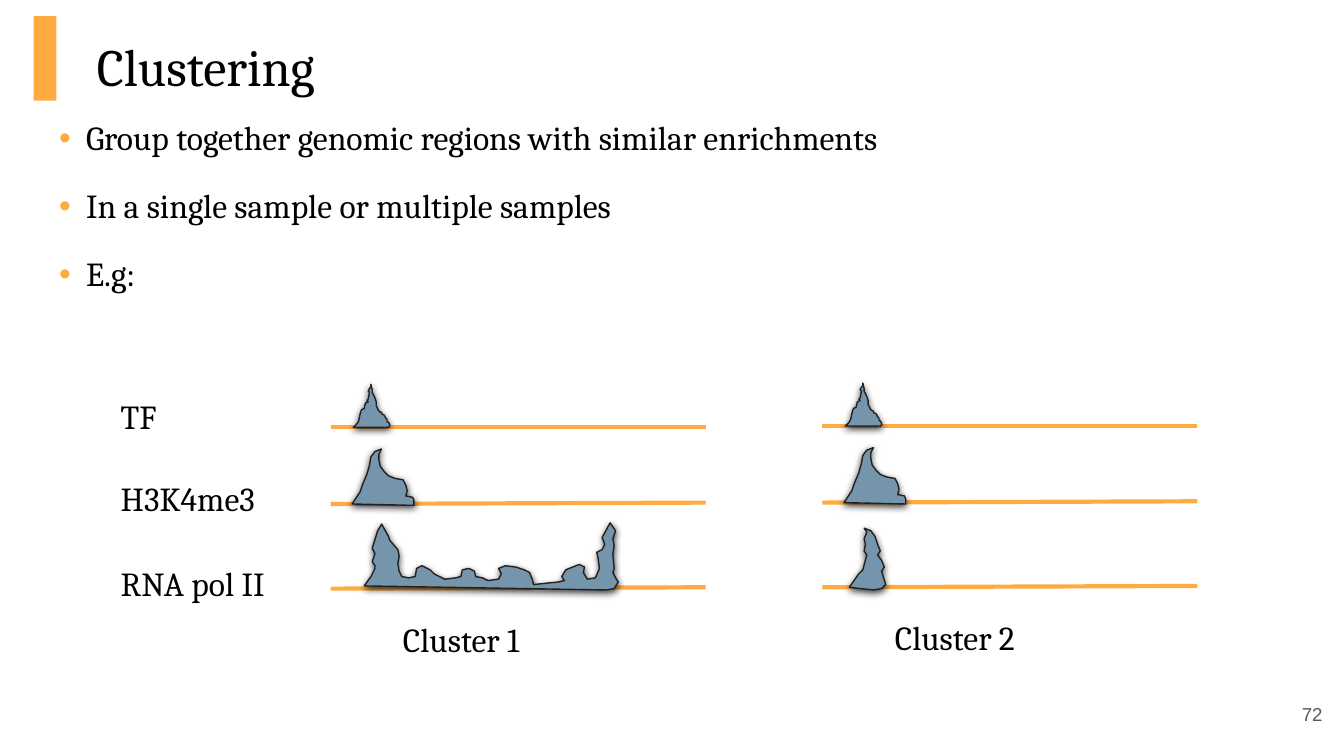
"""Build the slide on clustering genomic regions by enrichment."""
import lxml.etree
import pptx
import pptx.dml.color
import pptx.enum.shapes
import pptx.enum.text
import pptx.oxml
import pptx.oxml.ns
import pptx.util

Inches = pptx.util.Inches
Pt = pptx.util.Pt
ALIGN = pptx.enum.text.PP_ALIGN
ANCHOR = pptx.enum.text.MSO_ANCHOR
qn = pptx.oxml.ns.qn

ORANGE, BLUE, DARK, BLACK, GRAY = "FFAB40", "7595AC", "212121", "000000", "595959"
TRACK_LENGTH = 2.79
UNIT = Inches(0.01)

TF_PEAK = [
    (17, 0), (19, -2), (20, -3), (21, -5), (22, -10), (23, -13), (25, -14), (26, -18),
    (28, -19), (27, -20), (28, -21), (29, -26), (28, -27), (29, -29), (30, -30), (30, -32),
    (31, -28), (31, -26), (32, -24), (33, -22), (34, -19), (34, -16), (35, -14), (36, -12),
    (38, -11), (38, -10), (40, -9), (41, -7), (42, -6), (42, -4), (43, -4), (44, -2),
    (44, -1), (43, 0)]
H3K4ME3_PEAK = [
    (16, 0), (20, -6), (22, -9), (24, -15), (27, -22), (29, -29), (30, -35), (33, -39),
    (38, -41), (36, -37), (36, -33), (37, -28), (40, -24), (43, -21), (48, -19), (54, -18),
    (56, -14), (57, -10), (56, -6), (61, -5), (62, -3), (62, 1)]
POL_WIDE_PEAK = [
    (25, -2), (30, -9), (33, -15), (33, -17), (31, -20), (33, -26), (31, -30), (35, -43),
    (38, -48), (43, -39), (44, -36), (50, -29), (51, -24), (50, -19), (51, -13), (53, -9),
    (58, -8), (63, -9), (64, -15), (68, -17), (74, -14), (77, -11), (85, -7), (93, -8),
    (97, -9), (98, -14), (103, -15), (107, -13), (108, -9), (113, -8), (117, -6), (125, -7),
    (127, -11), (125, -15), (130, -17), (138, -16), (144, -14), (148, -12), (150, -7),
    (151, -3), (170, -5), (174, -6), (172, -9), (175, -14), (185, -18), (189, -16),
    (188, -12), (191, -7), (197, -8), (200, -15), (199, -23), (198, -27), (202, -29),
    (204, -33), (202, -38), (208, -49), (212, -43), (210, -37), (211, -32), (210, -26),
    (211, -15), (210, -12), (212, -8), (214, -5), (211, 0), (205, 1)]
POL_NARROW_PEAK = [
    (20, 0), (27, -10), (30, -13), (33, -24), (31, -27), (32, -32), (31, -36), (33, -41),
    (31, -44), (36, -42), (39, -38), (41, -32), (43, -27), (41, -24), (44, -20), (46, -15),
    (44, -12), (47, -2), (44, 1), (38, 2), (28, 1)]


def color(code):
    """Turn a hex string into a colour."""
    return pptx.dml.color.RGBColor.from_string(code)


def write(para, text, size=18, font="Cambria", ink=BLACK, align=ALIGN.LEFT, spacing=None):
    """Put formatted text into a paragraph."""
    para.alignment = align
    para.line_spacing = spacing
    para.space_before = Pt(0)
    span = para.add_run()
    span.text = text
    span.font.size = Pt(size)
    span.font.name = font
    span.font.color.rgb = color(ink)


def place(shape, left, top, width, height):
    """Move and size a shape in inches."""
    shape.left, shape.top = Inches(left), Inches(top)
    shape.width, shape.height = Inches(width), Inches(height)


def add_label(shapes, text, left, top, width, height=0.3, inset=0.1, anchor=ANCHOR.TOP, **style):
    """Add a one-paragraph text box."""
    box = shapes.add_textbox(Inches(left), Inches(top), Inches(width), Inches(height))
    frame = box.text_frame
    frame.word_wrap = True
    frame.vertical_anchor = anchor
    frame.margin_left = frame.margin_right = Inches(inset)
    write(frame.paragraphs[0], text, **style)


def add_accent(page):
    """Add the bar beside the title."""
    bar = page.shapes.add_shape(pptx.enum.shapes.MSO_SHAPE.RECTANGLE,
                                Inches(0.25), Inches(0.12), Inches(0.17), Inches(0.63))
    bar.shadow.inherit = False
    bar.fill.solid()
    bar.fill.fore_color.rgb = color(ORANGE)
    bar.line.fill.background()


def fill_title(page, text):
    """Place and fill the title."""
    title = page.shapes.title
    place(title, 0.62, 0.15, 9.32, 0.63)
    title.text_frame.vertical_anchor = ANCHOR.BOTTOM
    title.text_frame.auto_size = pptx.enum.text.MSO_AUTO_SIZE.NONE
    write(title.text_frame.paragraphs[0], text, size=28, spacing=0.9)


def fill_list(page, items):
    """Place and fill the bulleted list."""
    body = page.placeholders[1]
    place(body, 0.34, 0.84, 9.32, 3.74)
    frame = body.text_frame
    frame.auto_size = pptx.enum.text.MSO_AUTO_SIZE.NONE
    for index, item in enumerate(items):
        para = frame.add_paragraph() if index else frame.paragraphs[0]
        props = para._p.get_or_add_pPr()
        props.set("marL", str(Inches(0.2)))
        props.set("indent", str(-Inches(0.2)))
        tint = lxml.etree.SubElement(props, qn("a:buClr"))
        lxml.etree.SubElement(tint, qn("a:srgbClr"), val=ORANGE)
        lxml.etree.SubElement(props, qn("a:buFont"), typeface="Arial")
        lxml.etree.SubElement(props, qn("a:buChar"), char="•")
        write(para, item, spacing=0.95)
        if index:
            para.space_before = Pt(16)


def add_track(shapes, left, baseline, rise):
    """Add the line that a peak stands on."""
    line = shapes.add_connector(pptx.enum.shapes.MSO_CONNECTOR.STRAIGHT,
                                Inches(left), Inches(baseline),
                                Inches(left + TRACK_LENGTH), Inches(baseline - rise))
    line.line.color.rgb = color(ORANGE)
    line.line.width = Pt(2.25)
    lxml.etree.SubElement(line._element.spPr, qn("a:effectLst"))


def add_peak(shapes, left, baseline, outline):
    """Add a peak with a soft shadow, outlined from the start of its track."""
    builder = shapes.build_freeform(*outline[0], scale=UNIT)
    builder.add_line_segments(outline[1:], close=True)
    peak = builder.convert_to_shape(Inches(left), Inches(baseline))
    peak.fill.solid()
    peak.fill.fore_color.rgb = color(BLUE)
    peak.line.color.rgb = color(DARK)
    peak.line.width = Pt(0.75)
    peak.shadow.inherit = False
    effects = peak._element.spPr.find(qn("a:effectLst"))
    shadow = lxml.etree.SubElement(effects, qn("a:outerShdw"), blurRad=str(Pt(4)),
                                   dist=str(Pt(1.2)), dir="5400000", rotWithShape="0")
    tint = lxml.etree.SubElement(shadow, qn("a:srgbClr"), val=BLACK)
    lxml.etree.SubElement(tint, qn("a:alpha"), val="75000")


def add_cluster(page, name, left, top, name_top, pol_peak):
    """Add one cluster of three tracks with its name."""
    shapes = page.shapes.add_group_shape().shapes
    tracks = [(0, 0, TF_PEAK), (0.57, 0.01, H3K4ME3_PEAK), (1.2, 0.01, pol_peak)]
    for offset, rise, outline in tracks:
        add_track(shapes, left, top + offset, rise)
        add_peak(shapes, left, top + offset, outline)
    add_label(shapes, name, left + 0.44, name_top, 1.95)


def main():
    """Build and save the deck."""
    deck = pptx.Presentation()
    deck.slide_width = Inches(10)
    deck.slide_height = deck.slide_width * 9 // 16
    page = deck.slides.add_slide(deck.slide_layouts[1])
    add_accent(page)
    fill_title(page, "Clustering")
    fill_list(page, ["Group together genomic regions with similar enrichments",
                     "In a single sample or multiple samples", "E.g:"])
    for name, top in [("TF", 2.9), ("H3K4me3", 3.51), ("RNA pol II", 4.14)]:
        add_label(page.shapes, name, 0.8, top, 1.66)
    add_cluster(page, "Cluster 1", 2.46, 3.18, 4.56, POL_WIDE_PEAK)
    add_cluster(page, "Cluster 2", 6.12, 3.17, 4.54, POL_NARROW_PEAK)
    add_label(page.shapes, "72", 9.27, 5.1, 0.6, height=0.43, inset=0.03, anchor=ANCHOR.MIDDLE,
              size=10, font="Arial", ink=GRAY, align=ALIGN.RIGHT)
    deck.save("out.pptx")


if __name__ == "__main__":
    main()
